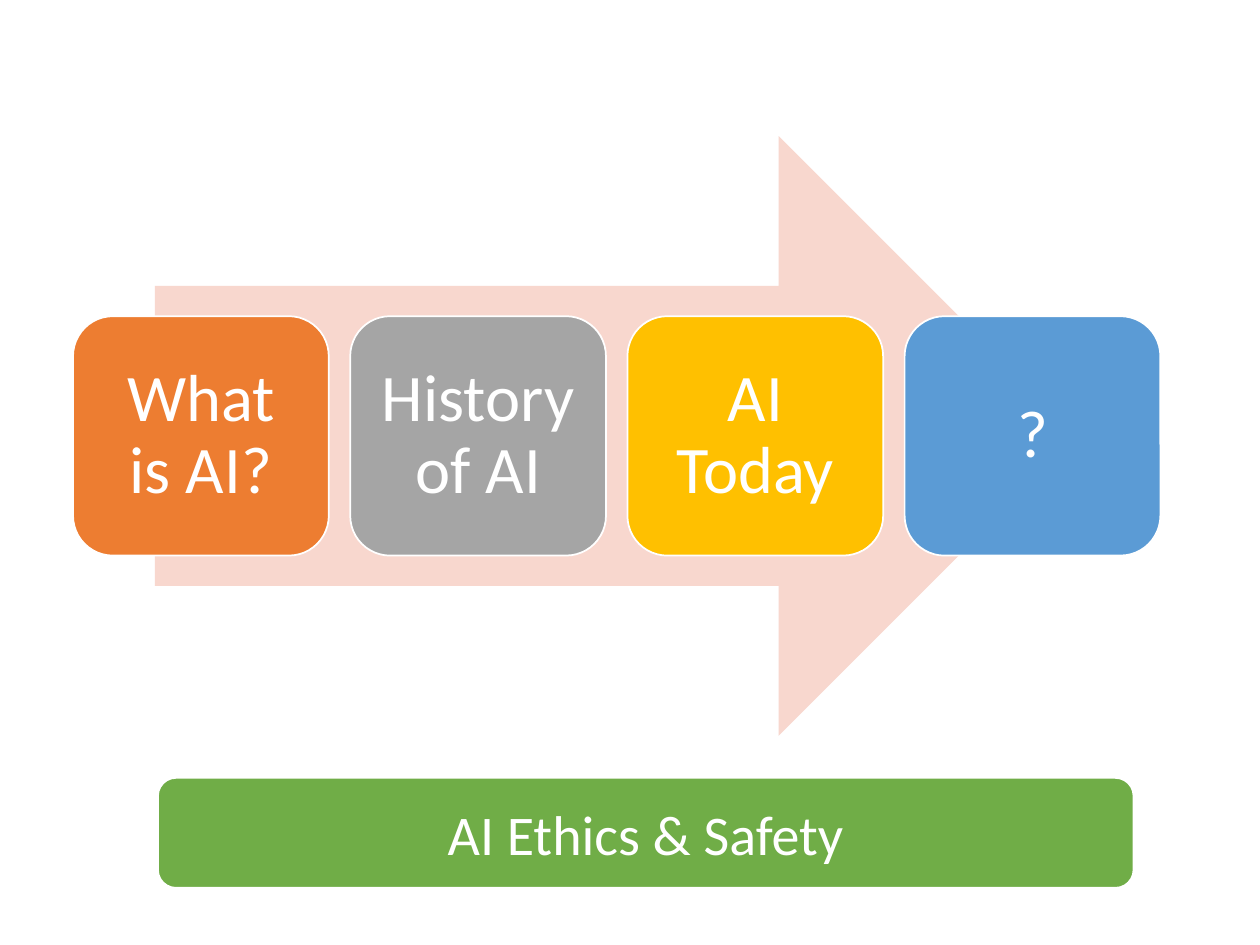
from pptx import Presentation
from pptx.dml.color import RGBColor
from pptx.enum.shapes import MSO_SHAPE
from pptx.enum.text import MSO_ANCHOR, PP_ALIGN
from pptx.util import Inches, Pt

ARROW = MSO_SHAPE.RIGHT_ARROW
ROUNDED = MSO_SHAPE.ROUNDED_RECTANGLE
MIDDLE = MSO_ANCHOR.MIDDLE
CENTER = PP_ALIGN.CENTER
BLANK_LAYOUT = 6


def color(value):
    return RGBColor.from_string(value)


class SlideBuilder:
    font_name = "Calibri"
    white = "FFFFFF"

    def __init__(self, slide):
        self.slide = slide

    def add_filled(self, kind, left, top, width, height, fill):
        shape = self.slide.shapes.add_shape(
            kind, Inches(left), Inches(top), Inches(width), Inches(height))
        shape.shadow.inherit = False
        shape.fill.solid()
        shape.fill.fore_color.rgb = color(fill)
        shape.line.fill.background()
        return shape

    def add_arrow(self, left, top, width, height, fill):
        return self.add_filled(ARROW, left, top, width, height, fill)

    def add_label_box(self, left, top, width, height, fill, text, size,
                      line_width, line_spacing=1.0, inset=0.1):
        shape = self.add_filled(ROUNDED, left, top, width, height, fill)
        shape.line.color.rgb = color(self.white)
        shape.line.width = Pt(line_width)
        frame = shape.text_frame
        frame.word_wrap = True
        frame.vertical_anchor = MIDDLE
        frame.margin_left = frame.margin_right = Inches(inset)
        frame.margin_top = frame.margin_bottom = Inches(inset)
        frame.text = text
        paragraph = frame.paragraphs[0]
        paragraph.alignment = CENTER
        paragraph.line_spacing = line_spacing
        paragraph.font.name = self.font_name
        paragraph.font.size = Pt(size)
        paragraph.font.color.rgb = color(self.white)
        return shape


def main():
    presentation = Presentation()
    presentation.slide_width = Inches(10)
    presentation.slide_height = Inches(7.5)
    slide = presentation.slides.add_slide(
        presentation.slide_layouts[BLANK_LAYOUT])
    builder = SlideBuilder(slide)

    # Arrow behind the course stages
    builder.add_arrow(1.23, 1.08, 7.33, 4.76, "F8D7CE")

    # Course stages, evenly spaced
    stages = [
        ("What is AI?", "ED7D31"),
        ("History of AI", "A5A5A5"),
        ("AI Today", "FFC000"),
        ("?", "5B9BD5"),
    ]
    first_left, stage_step = 0.58, 2.2
    for index, (text, fill) in enumerate(stages):
        builder.add_label_box(first_left + index * stage_step, 2.51, 2.03, 1.9,
                              fill, text, size=38, line_width=1,
                              line_spacing=0.9, inset=0.15)

    # Theme that runs under all stages
    builder.add_label_box(1.25, 6.17, 7.75, 0.88, "70AD47",
                          "AI Ethics & Safety", size=32, line_width=1.5)

    presentation.save("out.pptx")


if __name__ == "__main__":
    main()
